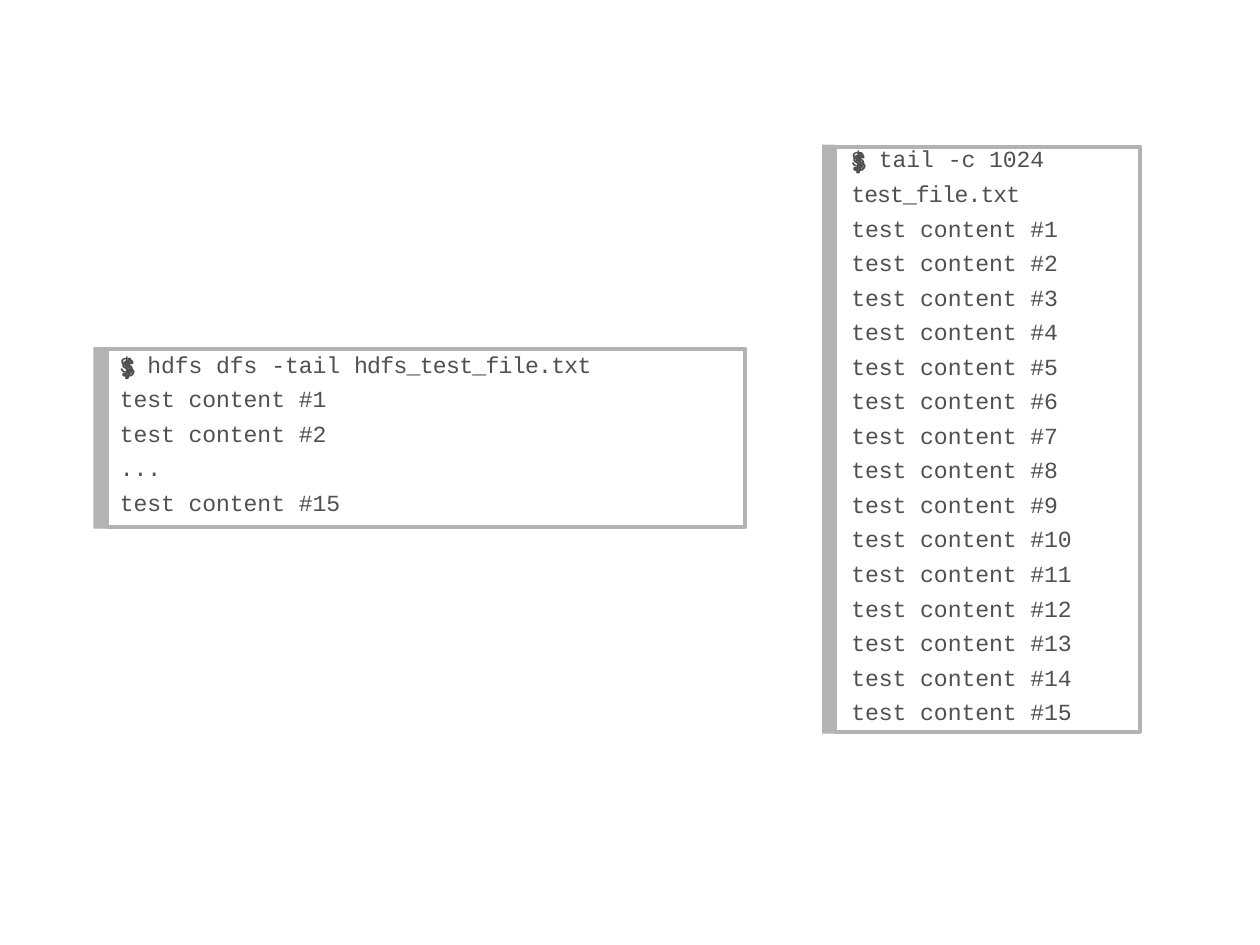
"""Build a slide comparing the tail command in HDFS and in a local shell."""
import pptx
import pptx.dml.color
import pptx.enum.shapes
import pptx.enum.text
import pptx.util

Pt = pptx.util.Pt
RECT = pptx.enum.shapes.MSO_SHAPE.RECTANGLE
THEME = {
    "text": pptx.dml.color.RGBColor.from_string("505050"),
    "frame": pptx.dml.color.RGBColor.from_string("B3B3B3"),
    "font": "Courier New",
    "size": Pt(29),
    "border": Pt(4.95),
    "stroke": Pt(2.41),
    "gap": Pt(8.6),
    "spacing": -10,
}

prs = pptx.Presentation()
prs.slide_width = pptx.util.Inches(21.99)
prs.slide_height = pptx.util.Inches(16.49)
COL, ROW = prs.slide_width / 100, prs.slide_height / 100
UNIT = pptx.util.Inches(0.01)
BAR = round(1.05 * COL)
s = prs.slides.add_slide(prs.slide_layouts[6])

DOLLAR = [
    [(9, 4), (4, 5), (1, 9), (0, 10), (0, 13), (1, 14), (5, 17), (7, 18),
     (6, 27), (1, 26), (0, 26), (0, 29), (5, 30), (6, 30), (5, 34), (8, 34),
     (8, 30), (9, 30), (14, 29), (17, 26), (18, 23), (18, 22), (15, 18),
     (11, 16), (10, 16), (11, 7), (16, 8), (16, 5), (13, 4), (12, 4),
     (12, 0), (10, 0)],
    [(8, 14), (4, 12), (4, 10), (7, 7), (9, 7)],
    [(10, 19), (14, 21), (14, 23), (11, 26), (9, 27)],
]

TERMINALS = [
    {
        "box": (66.3, 15.52, 24.15, 61.92), "inset": 1.27, "top": 0,
        "sign": (1.5, 0.67), "before": 0, "leading": Pt(32.6), "tight": -120,
        "lines": [["$ tail -c 1024"], ["test_file.txt"]]
        + [[f"test content #{n}"] for n in range(1, 16)],
    },
    {
        "box": (8.46, 36.93, 50.7, 18.8), "inset": 1.05, "top": 0.12,
        "sign": (1.32, 1.03), "before": 1.8, "leading": None, "tight": -90,
        "lines": [["$ hdfs dfs -tail ", "hdfs_test_file.txt"],
                  ["test content #1"], ["test content #2"], ["..."],
                  ["test content #15"]],
    },
]

for terminal in TERMINALS:
    x, y, w, h = (round(v * unit) for v, unit in
                  zip(terminal["box"], (COL, ROW, COL, ROW)))
    sign_x, sign_y = terminal["sign"]
    for contour in DOLLAR:
        pen = s.shapes.build_freeform(*contour[0], scale=UNIT)
        pen.add_line_segments(contour[1:], close=True)
        sp = pen.convert_to_shape(x + round(sign_x * COL), y + round(sign_y * ROW))
        sp.shadow.inherit = False
        sp.fill.background()
        sp.line.color.rgb = THEME["text"]
        sp.line.width = THEME["stroke"]

    sp = s.shapes.add_shape(RECT, x, y, w, h)
    sp.shadow.inherit = False
    sp.fill.background()
    sp.line.color.rgb = THEME["frame"]
    sp.line.width = THEME["border"]
    tf = sp.text_frame
    tf.word_wrap = True
    tf.vertical_anchor = pptx.enum.text.MSO_ANCHOR.TOP
    tf.margin_left = round(terminal["inset"] * COL)
    tf.margin_top = round(terminal["top"] * ROW)
    tf.margin_right = tf.margin_bottom = 0
    for i, line in enumerate(terminal["lines"]):
        p = tf.add_paragraph() if i else tf.paragraphs[0]
        p.alignment = pptx.enum.text.PP_ALIGN.LEFT
        p.space_before = THEME["gap"] if i else Pt(terminal["before"])
        if i == 0:
            p.line_spacing = terminal["leading"]
        for text in line:
            r = p.add_run()
            r.text = text
            r.font.name = THEME["font"]
            r.font.size = THEME["size"]
            r.font.color.rgb = THEME["text"]
            spacing = terminal["tight"] if "_" in text else THEME["spacing"]
            r._r.get_or_add_rPr().set("spc", str(spacing))

    edge = THEME["border"] // 2
    bar = s.shapes.add_shape(RECT, x - BAR, y - edge, BAR, h + 2 * edge)
    bar.shadow.inherit = False
    bar.fill.solid()
    bar.fill.fore_color.rgb = THEME["frame"]
    bar.line.fill.background()

prs.save("out.pptx")
